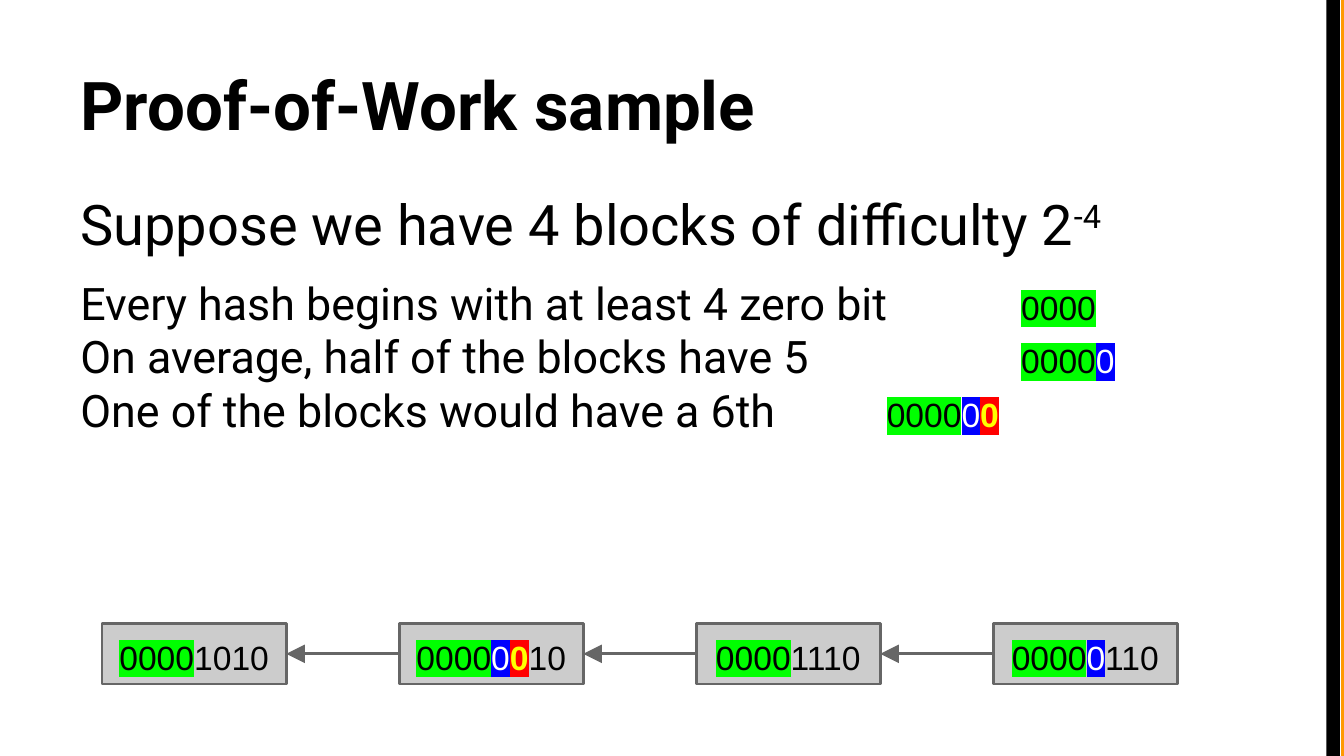
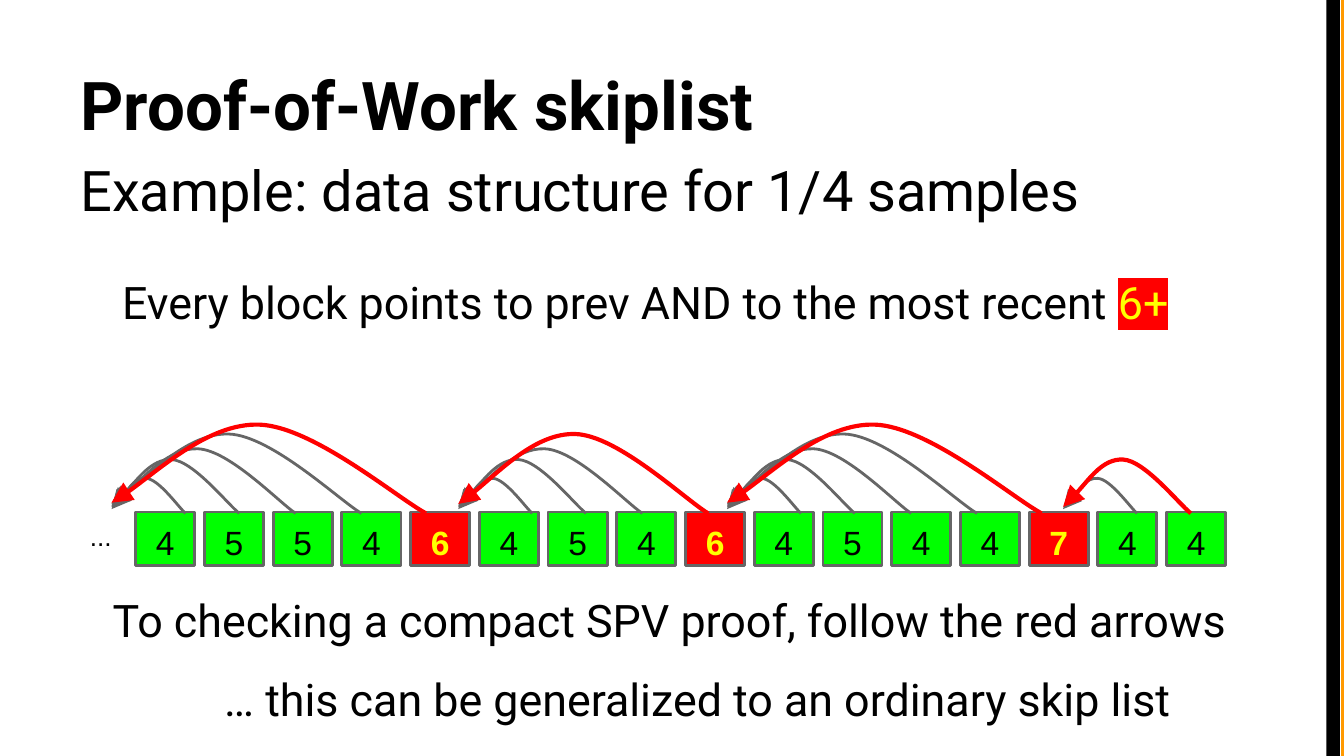
from itertools import islice

from lxml.etree import SubElement
from pptx import Presentation
from pptx.dml.color import RGBColor
from pptx.enum.shapes import MSO_CONNECTOR, MSO_SHAPE
from pptx.enum.text import MSO_ANCHOR, MSO_AUTO_SIZE, PP_ALIGN
from pptx.oxml.ns import qn
from pptx.util import Inches, Pt

BLACK = RGBColor(0x00, 0x00, 0x00)
WHITE = RGBColor(0xFF, 0xFF, 0xFF)
ORANGE = RGBColor(0xFF, 0x99, 0x00)
GREEN = RGBColor(0x00, 0xFF, 0x00)
BLUE = RGBColor(0x00, 0x00, 0xFF)
RED = RGBColor(0xFF, 0x00, 0x00)
YELLOW = RGBColor(0xFF, 0xFF, 0x00)
LIGHT_GRAY = RGBColor(0xCC, 0xCC, 0xCC)
DARK_GRAY = RGBColor(0x66, 0x66, 0x66)

SLIDE_WIDTH = Inches(10)
SLIDE_HEIGHT = SLIDE_WIDTH * 9 // 16

HEADING_FONT = "Roboto"
BIT_FONT = "Arial"

FOURTH_BIT = dict(highlight=GREEN)
FIFTH_BIT = dict(color=WHITE, highlight=BLUE)
SIXTH_BIT = dict(color=YELLOW, highlight=RED, bold=True)

ARC_PROFILE = [(1, 0), (0.91, 0.17), (0.64, 0.98), (0.47, 1),
               (0.31, 1.02), (0.08, 0.27), (0, 0.12)]
ARC_SIZES = [(0.55, 0.26), (0.95, 0.40), (1.37, 0.48), (1.86, 0.59), (2.34, 0.66)]


def add_run(paragraph, text, *, size=24, font=HEADING_FONT, color=BLACK,
            bold=False, highlight=None, raised=False):
    run = paragraph.add_run()
    run.text = text
    run.font.size = Pt(size)
    run.font.bold = bold
    run.font.color.rgb = color
    properties = run.font._element
    if highlight is not None:
        marker = SubElement(properties, qn("a:highlight"))
        SubElement(marker, qn("a:srgbClr"), val=str(highlight))
        properties.find(qn("a:solidFill")).addnext(marker)
    run.font.name = font
    if raised:
        properties.set("baseline", "30000")


def add_bits(paragraph, bits):
    zeros = len(bits) - len(bits.lstrip("0"))
    parts = [(bits[:4], FOURTH_BIT)]
    if zeros >= 5:
        parts.append((bits[4], FIFTH_BIT))
    if zeros >= 6:
        parts.append((bits[5], SIXTH_BIT))
    parts.append((bits[min(zeros, 6):], {}))
    for text, style in parts:
        if text:
            add_run(paragraph, text, size=18, font=BIT_FONT, **style)


def prepare_frame(frame, anchor):
    frame.word_wrap = True
    frame.auto_size = MSO_AUTO_SIZE.NONE
    frame.vertical_anchor = anchor
    frame.margin_left = frame.margin_right = Inches(0.1)
    frame.margin_top = frame.margin_bottom = Inches(0.1)
    return frame


def add_text_area(slide, left, top, width, height):
    area = slide.shapes.add_textbox(Inches(left), Inches(top), Inches(width), Inches(height))
    return prepare_frame(area.text_frame, MSO_ANCHOR.TOP)


def indent(paragraph, distance):
    properties = paragraph._p.get_or_add_pPr()
    properties.set("marL", str(Inches(distance)))
    properties.set("indent", "0")


def set_tab(paragraph, position):
    stops = SubElement(paragraph._p.get_or_add_pPr(), qn("a:tabLst"))
    SubElement(stops, qn("a:tab"), pos=str(Inches(position)), algn="l")


def add_rectangle(slide, left, top, width, height, fill):
    rectangle = slide.shapes.add_shape(
        MSO_SHAPE.RECTANGLE, Inches(left), Inches(top), Inches(width), Inches(height))
    rectangle.shadow.inherit = False
    rectangle.fill.solid()
    rectangle.fill.fore_color.rgb = fill
    rectangle.line.fill.background()
    return rectangle


def add_block(slide, left, top, width, height, fill):
    block = add_rectangle(slide, left, top, width, height, fill)
    block.line.color.rgb = DARK_GRAY
    block.line.width = Pt(1.5)
    paragraph = prepare_frame(block.text_frame, MSO_ANCHOR.MIDDLE).paragraphs[0]
    paragraph.alignment = PP_ALIGN.CENTER
    paragraph.line_spacing = 1.15
    return paragraph


def style_arrow(arrow, color, weight):
    arrow.line.color.rgb = color
    arrow.line.width = Pt(weight)
    SubElement(arrow.line._get_or_add_ln(), qn("a:tailEnd"),
               type="triangle", w="lg", len="lg")


def add_side_bands(slide, master):
    tree = master.element.cSld.spTree
    for left, color in ((9.98, ORANGE), (9.87, BLACK)):
        band = add_rectangle(slide, left, 0, 0.1, SLIDE_HEIGHT.real / Inches(1), color)
        tree.append(band.element)


def add_titled_slide(deck, title):
    slide = deck.slides.add_slide(deck.slide_layouts[5])
    heading = slide.shapes.title
    heading.left, heading.top = Inches(0.5), Inches(0.23)
    heading.width, heading.height = Inches(9), Inches(0.94)
    paragraph = prepare_frame(heading.text_frame, MSO_ANCHOR.BOTTOM).paragraphs[0]
    paragraph.alignment = PP_ALIGN.LEFT
    add_run(paragraph, title, size=36, bold=True)
    return slide


def add_difficulty_text(slide, left, top, width, height):
    frame = add_text_area(slide, left, top, width, height)
    lead = frame.paragraphs[0]
    lead.space_after = Pt(10)
    add_run(lead, "Suppose we have 4 blocks of difficulty 2", size=30)
    add_run(lead, "-4", size=30, raised=True)
    for statement, tab, bits in (
            ("Every hash begins with at least 4 zero bit", 7, "0000"),
            ("On average, half of the blocks have 5", 7, "00000"),
            ("One of the blocks would have a 6th", 6, "000000")):
        paragraph = frame.add_paragraph()
        set_tab(paragraph, tab)
        add_run(paragraph, statement + "\t")
        add_bits(paragraph, bits)


def add_hash_chain(slide, left, top, width, height, hashes):
    block_width = 1.37
    pitch = (width - block_width) / (len(hashes) - 1)
    for index, bits in enumerate(hashes):
        add_bits(add_block(slide, left + index * pitch, top, block_width, height, LIGHT_GRAY), bits)
    middle = Inches(top + height / 2)
    for index in range(1, len(hashes)):
        start = left + index * pitch
        link = slide.shapes.add_connector(
            MSO_CONNECTOR.STRAIGHT, Inches(start), middle,
            Inches(start - pitch + block_width), middle)
        style_arrow(link, DARK_GRAY, 1.5)
        SubElement(link.element.spPr, qn("a:effectLst"))


def add_arc(slide, left, base, width, rise, color, weight):
    points = [(Inches(left + x * width), Inches(base - y * rise)) for x, y in ARC_PROFILE]
    builder = slide.shapes.build_freeform(*points[0])
    builder.add_line_segments(points[1:], close=False)
    arc = builder.convert_to_shape()
    outline = next(arc.element.iter(qn("a:path")))
    segments = iter(outline.findall(qn("a:lnTo")))
    while triple := list(islice(segments, 3)):
        curve = SubElement(outline, qn("a:cubicBezTo"))
        for segment in triple:
            curve.append(segment[0])
            outline.remove(segment)
    arc.shadow.inherit = False
    arc.fill.background()
    style_arrow(arc, color, weight)


def add_skiplist(slide, left, top, width, height, levels, jumps):
    cell_width, cell_height = 0.44, 0.4
    pitch = (width - cell_width) / (len(levels) - 1)
    cell_top = top + height - cell_height
    for index, level in enumerate(levels):
        recent = level >= 6
        label = add_block(slide, left + index * pitch, cell_top, cell_width, cell_height,
                          RED if recent else GREEN)
        add_run(label, str(level), size=18, font=BIT_FONT, **(SIXTH_BIT if recent else {}))
    for target, count in jumps:
        for index, (span, rise) in enumerate(ARC_SIZES[:count], 1):
            color, weight = (RED, 2.25) if index == count else (DARK_GRAY, 1.5)
            add_arc(slide, left + target, cell_top + 0.01, span, rise, color, weight)
    earlier = add_text_area(slide, left - 0.44, cell_top - 0.04, 0.38, 0.5)
    add_run(earlier.paragraphs[0], "...", size=14, font=BIT_FONT)


def add_pointer_text(slide, left, top, width, height):
    frame = add_text_area(slide, left, top, width, height)
    lead = frame.paragraphs[0]
    lead.space_after = Pt(27.5)
    add_run(lead, "Example: data structure for 1/4 samples", size=30)
    rule = frame.add_paragraph()
    indent(rule, 0.31)
    add_run(rule, "Every block points to prev AND to the most recent ")
    add_run(rule, "6+", color=YELLOW, highlight=RED)


def add_conclusions(slide, left, top, width):
    for row, (text, offset) in enumerate((
            ("To checking a compact SPV proof, follow the red arrows", 0),
            ("… this can be generalized to an ordinary skip list", 0.83))):
        paragraph = add_text_area(slide, left, top + row * 0.59, width, 0.5).paragraphs[0]
        indent(paragraph, offset)
        add_run(paragraph, text)


def build_sample_slide(deck):
    slide = add_titled_slide(deck, "Proof-of-Work sample")
    add_side_bands(slide, deck.slide_master)
    add_difficulty_text(slide, 0.5, 1.31, 9, 4.07)
    add_hash_chain(slide, 0.76, 4.64, 8, 0.45,
                   ["00001010", "00000010", "00001110", "00000110"])


def build_skiplist_slide(deck):
    slide = add_titled_slide(deck, "Proof-of-Work skiplist")
    add_pointer_text(slide, 0.5, 1.06, 9, 4.07)
    add_skiplist(slide, 1.01, 3.16, 8.11, 1.05,
                 [4, 5, 5, 4, 6, 4, 5, 4, 6, 4, 5, 4, 4, 7, 4, 4],
                 [(-0.18, 5), (2.4, 4), (4.4, 5), (6.9, 2)])
    add_conclusions(slide, 0.74, 4.31, 8.71)


def main():
    deck = Presentation()
    deck.slide_width, deck.slide_height = SLIDE_WIDTH, SLIDE_HEIGHT
    build_sample_slide(deck)
    build_skiplist_slide(deck)
    deck.save("out.pptx")


if __name__ == "__main__":
    main()
